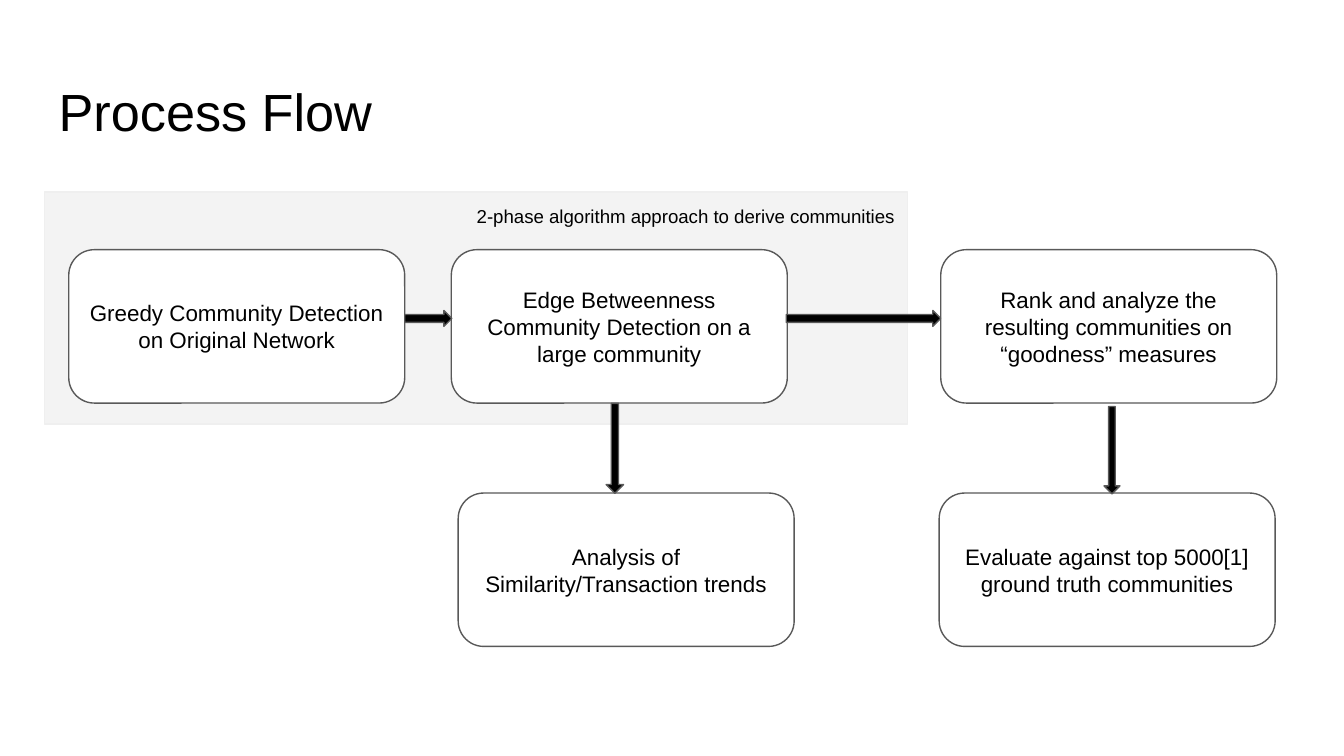
from pptx import Presentation
from pptx.dml.color import RGBColor
from pptx.enum.shapes import MSO_SHAPE
from pptx.enum.text import MSO_ANCHOR, PP_ALIGN
from pptx.util import Cm, Pt

COLORS = {
    "text": "000000",
    "panel": "F3F3F3",
    "panel_line": "EFEFEF",
    "box": "FFFFFF",
    "outline": "595959",
    "arrow": "000000",
}
INSET = 0.25
BOX_WIDTH, BOX_HEIGHT = 6.35, 2.9
TOP_ROW, BOTTOM_ROW = 4.72, 9.32


def write_text(shape, text, size=12, align=PP_ALIGN.CENTER, anchor=MSO_ANCHOR.MIDDLE):
    frame = shape.text_frame
    frame.word_wrap = True
    frame.vertical_anchor = anchor
    frame.margin_left = frame.margin_right = Cm(INSET)
    frame.margin_top = frame.margin_bottom = Cm(INSET)
    paragraph = frame.paragraphs[0]
    paragraph.alignment = align
    run = paragraph.add_run()
    run.text = text
    run.font.name = "Arial"
    run.font.size = Pt(size)
    run.font.color.rgb = RGBColor.from_string(COLORS["text"])


class FlowSlide:
    """Holds the style and the current slide of the process flow."""

    def __init__(self, presentation):
        self.slide = presentation.slides.add_slide(presentation.slide_layouts[6])
        self.line_width = Pt(0.75)

    def add_shape(self, kind, left, top, width, height, fill, line):
        shape = self.slide.shapes.add_shape(kind, Cm(left), Cm(top), Cm(width), Cm(height))
        shape.shadow.inherit = False
        shape.fill.solid()
        shape.fill.fore_color.rgb = RGBColor.from_string(COLORS[fill])
        shape.line.color.rgb = RGBColor.from_string(COLORS[line])
        shape.line.width = self.line_width
        return shape

    def add_title(self, text, left, top, width, height):
        title = self.slide.shapes.add_textbox(Cm(left), Cm(top), Cm(width), Cm(height))
        write_text(title, text, size=28, align=PP_ALIGN.LEFT, anchor=MSO_ANCHOR.TOP)

    def add_panel(self, text, left, top, width, height):
        panel = self.add_shape(MSO_SHAPE.RECTANGLE, left, top, width, height, "panel", "panel_line")
        write_text(panel, text, size=10, align=PP_ALIGN.RIGHT, anchor=MSO_ANCHOR.TOP)

    def add_box(self, text, left, top):
        box = self.add_shape(
            MSO_SHAPE.ROUNDED_RECTANGLE, left, top, BOX_WIDTH, BOX_HEIGHT, "box", "outline"
        )
        write_text(box, text)

    def add_arrow(self, left, top, length, thickness=0.3, rotation=0, shaft=0.5):
        arrow = self.add_shape(
            MSO_SHAPE.RIGHT_ARROW, left, top, length, thickness, "arrow", "outline"
        )
        arrow.adjustments[0] = shaft
        arrow.rotation = rotation


def main():
    presentation = Presentation()
    presentation.slide_width = Cm(25.4)
    presentation.slide_height = Cm(14.29)
    flow = FlowSlide(presentation)

    flow.add_panel("2-phase algorithm approach to derive communities", 0.84, 3.63, 16.31, 4.39)
    flow.add_title("Process Flow", 0.86, 1.24, 23.67, 1.6)

    for text, left, top in (
        ("Greedy Community Detection on Original Network", 1.3, TOP_ROW),
        ("Edge Betweenness Community Detection on a large community", 8.53, TOP_ROW),
        ("Rank and analyze the resulting communities on “goodness” measures", 17.78, TOP_ROW),
        ("Evaluate against top 5000[1] ground truth communities", 17.75, BOTTOM_ROW),
        ("Analysis of Similarity/Transaction trends", 8.66, BOTTOM_ROW),
    ):
        flow.add_box(text, left, top)

    for left, length in ((7.65, 0.89), (14.86, 2.92)):
        flow.add_arrow(left, 5.87, length)
    flow.add_arrow(20.19, 8.36, 1.65, rotation=90, shaft=0.42)
    flow.add_arrow(10.77, 8.31, 1.7, thickness=0.33, rotation=90, shaft=0.42)

    presentation.save("out.pptx")


if __name__ == "__main__":
    main()
